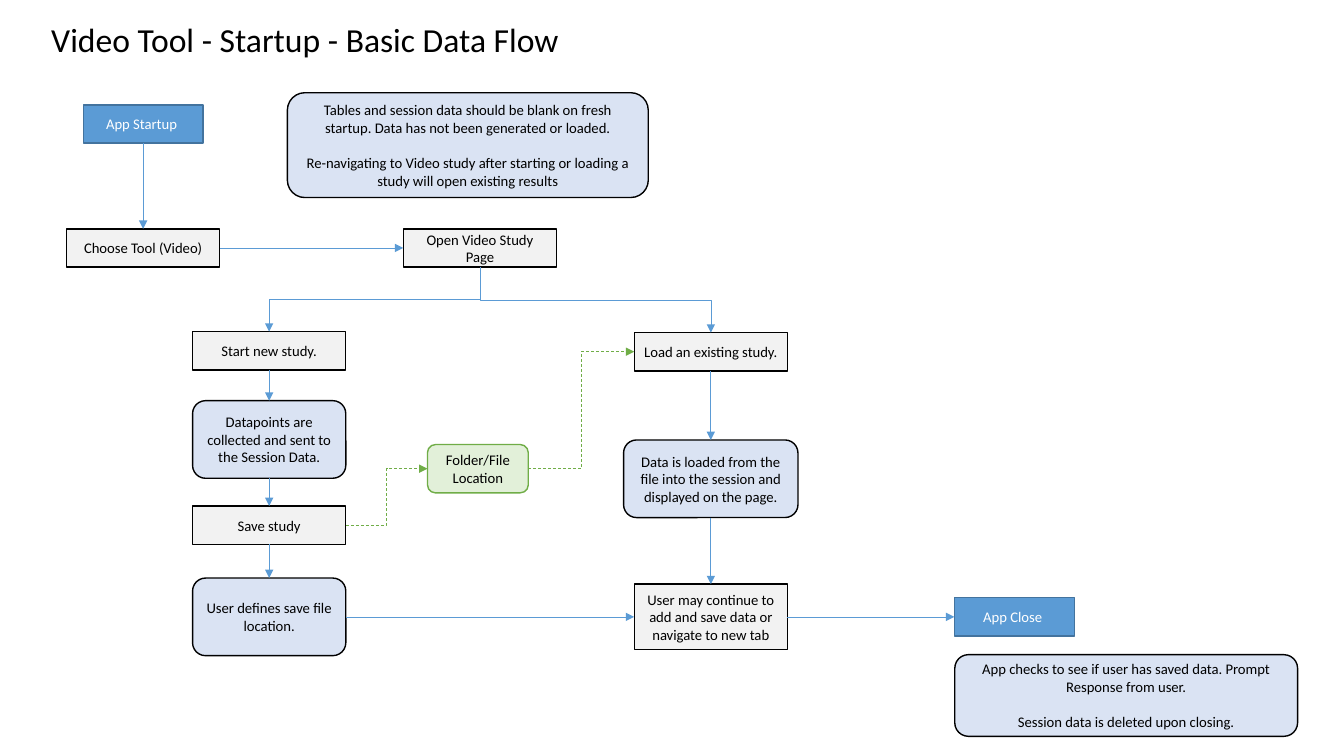
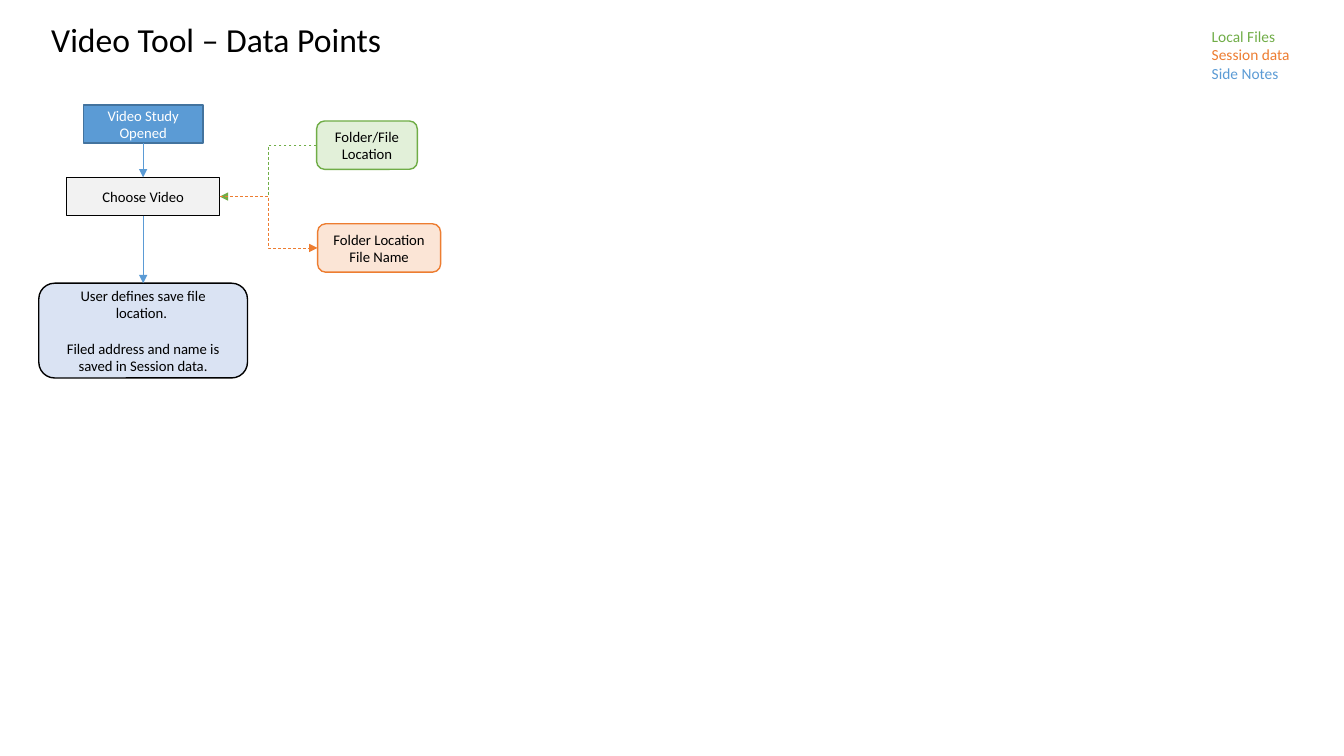
import pptx
import pptx.dml.color
import pptx.enum.dml
import pptx.enum.shapes
import pptx.enum.text
import pptx.oxml.ns
import pptx.util
from lxml import etree

Inches = pptx.util.Inches
Pt = pptx.util.Pt
RGBColor = pptx.dml.color.RGBColor
KIND = pptx.enum.shapes.MSO_SHAPE
LINK = pptx.enum.shapes.MSO_CONNECTOR
qn = pptx.oxml.ns.qn

FONT = "Calibri"
BLACK = RGBColor(0x00, 0x00, 0x00)
WHITE = RGBColor(0xFF, 0xFF, 0xFF)
BLUE = RGBColor(0x5B, 0x9B, 0xD5)
NAVY = RGBColor(0x43, 0x73, 0x9E)
GRAY = RGBColor(0xF2, 0xF2, 0xF2)
PALE = RGBColor(0xDA, 0xE3, 0xF3)
GREEN = RGBColor(0x70, 0xAD, 0x47)
MINT = RGBColor(0xE2, 0xF0, 0xD9)
ORANGE = RGBColor(0xED, 0x7D, 0x31)
PEACH = RGBColor(0xFB, 0xE5, 0xD6)

STYLES = {
    "end": (KIND.RECTANGLE, BLUE, NAVY, WHITE, (1.19, 0.38), 0),
    "step": (KIND.RECTANGLE, GRAY, BLACK, BLACK, (1.52, 0.38), 0),
    "note": (KIND.ROUNDED_RECTANGLE, PALE, BLACK, BLACK, (1.52, 0.77), 12.8),
    "file": (KIND.ROUNDED_RECTANGLE, MINT, GREEN, BLACK, (1, 0.48), 0),
    "data": (KIND.ROUNDED_RECTANGLE, PEACH, ORANGE, BLACK, (1.22, 0.48), 0),
}
TOP, LEFT, BOTTOM, RIGHT = range(4)
TITLE = (0.41, 0.14, 11.74, 0.5)
LEGEND = (11.92, 0.22, 1.17, 0.66)
FLOW = (0.42, 0.23)


def write(frame, lines, size, align=None, gap=0):
    """Fill a text frame with (text, colour) lines, one paragraph each."""
    frame.word_wrap = True
    for i, (text, ink) in enumerate(lines):
        para = frame.paragraphs[0] if i == 0 else frame.add_paragraph()
        para.alignment = align
        if i and gap:
            para.space_before = Pt(gap)
        run = para.add_run()
        run.text = text
        run.font.name = FONT
        run.font.size = Pt(size)
        run.font.color.rgb = ink


def label(slide, box, lines, size):
    """Put plain text in the given box."""
    area = slide.shapes.add_textbox(*map(Inches, box))
    write(area.text_frame, lines, size)


def node(slide, root, style, x, y, texts, size=None):
    """Draw a styled flow box centred at an offset from the root."""
    kind, fill, edge, ink, usual, gap = STYLES[style]
    wide, high = size or usual
    left, top = root[0] + x - wide / 2, root[1] + y - high / 2
    shape = slide.shapes.add_shape(kind, *map(Inches, (left, top, wide, high)))
    shape.shadow.inherit = False
    shape.fill.solid()
    shape.fill.fore_color.rgb = fill
    shape.line.color.rgb = edge
    shape.line.width = Pt(1)
    frame = shape.text_frame
    frame.vertical_anchor = pptx.enum.text.MSO_ANCHOR.MIDDLE
    write(frame, [(text, ink) for text in texts], 10.5,
          pptx.enum.text.PP_ALIGN.CENTER, gap)
    return shape


def turn(link):
    """Make an elbow leave and arrive vertically."""
    wide, high = link.width, link.height
    right = link.end_x > link.begin_x
    mid = link.left + wide // 2, link.top + high // 2
    link.left, link.top = mid[0] - high // 2, mid[1] - wide // 2
    link.width, link.height = high, wide
    frame = link.element.spPr.find(qn("a:xfrm"))
    frame.set("rot", str((270 if right else 90) * 60000))
    frame.set("flipH", "1" if right else "0")
    frame.set("flipV", "0")


def join(slide, start, out, end, into, tint=BLUE, bent=False):
    """Connect two boxes with an arrow, dashed unless blue."""
    kind = LINK.ELBOW if bent else LINK.STRAIGHT
    link = slide.shapes.add_connector(kind, 0, 0, 0, 0)
    link.begin_connect(start, out)
    link.end_connect(end, into)
    if bent and out == BOTTOM:
        turn(link)
    link.line.color.rgb = tint
    link.line.width = Pt(0.5)
    if tint != BLUE:
        link.line.dash_style = pptx.enum.dml.MSO_LINE.DASH
    props = link.element.spPr
    etree.SubElement(props.find(qn("a:ln")), qn("a:tailEnd"), type="triangle")
    etree.SubElement(props, qn("a:effectLst"))


def flow(slide, root, nodes, links):
    """Draw named boxes and the arrows between them."""
    made = {name: node(slide, root, *spec) for name, *spec in nodes}
    for start, out, end, into, *look in links:
        join(slide, made[start], out, made[end], into, *look)


def page(deck, title):
    """Add a blank slide with its title."""
    slide = deck.slides.add_slide(deck.slide_layouts[6])
    label(slide, TITLE, [(title, BLACK)], 24)
    return slide


def startup(deck):
    """Build the startup flow slide."""
    slide = page(deck, "Video Tool - Startup - Basic Data Flow")
    study, load, row = 2.25, 6.63, 5.89
    nodes = [
        ("open", "end", 1, 1, ["App Startup "]),
        ("tool", "step", 1, 2.23, ["Choose Tool (Video)"]),
        ("page", "step", 4.34, 2.23, ["Open Video Study Page"]),
        ("blank", "note", 4.22, 1.21, [
            "Tables and session data should be blank on fresh startup. "
            "Data has not been generated or loaded.",
            "Re-navigating to Video study after starting or loading a "
            "study will open existing results"], (3.58, 1.04)),
        ("new", "step", study, 3.25, ["Start new study."]),
        ("points", "note", study, 4.13,
         ["Datapoints are collected and sent to the Session Data."]),
        ("save", "step", study, 4.98, ["Save study"]),
        ("place", "note", study, row, ["User defines save file location."]),
        ("load", "step", load, 3.26, ["Load an existing study."]),
        ("file", "file", 4.32, 4.42, ["Folder/File Location"]),
        ("shown", "note", load, 4.52,
         ["Data is loaded from the file into the session and displayed "
          "on the page."], (1.73, 0.77)),
        ("more", "step", load, row,
         ["User may continue to add and save data or navigate to new tab"],
         (1.52, 0.65)),
        ("close", "end", 9.64, row, ["App Close "]),
        ("check", "note", 10.75, 6.67, [
            "App checks to see if user has saved data. "
            "Prompt Response from user.",
            "Session data is deleted upon closing."], (3.4, 0.81)),
    ]
    downs = [("open", "tool"), ("new", "points"), ("points", "save"),
             ("save", "place"), ("load", "shown"), ("shown", "more")]
    across = [("tool", "page"), ("place", "more"), ("more", "close")]
    links = [(a, BOTTOM, b, TOP) for a, b in downs]
    links += [(a, RIGHT, b, LEFT) for a, b in across]
    links += [("page", BOTTOM, b, TOP, BLUE, True) for b in ("new", "load")]
    links += [(a, RIGHT, b, LEFT, GREEN, True)
              for a, b in (("save", "file"), ("file", "load"))]
    flow(slide, FLOW, nodes, links)


def points(deck):
    """Build the data points slide."""
    slide = page(deck, "Video Tool – Data Points")
    nodes = [
        ("open", "end", 1, 1, ["Video Study Opened"]),
        ("video", "step", 1, 1.72, ["Choose Video"]),
        ("place", "note", 1, 3.05, [
            "User defines save file location. ",
            "Filed address and name is saved in Session data."],
         (2.07, 0.94)),
        ("file", "file", 3.22, 1.21, ["Folder/File Location"]),
        ("data", "data", 3.34, 2.23, ["Folder Location", "File Name"]),
    ]
    links = [
        ("open", BOTTOM, "video", TOP),
        ("video", BOTTOM, "place", TOP),
        ("file", LEFT, "video", RIGHT, GREEN, True),
        ("video", RIGHT, "data", LEFT, ORANGE, True),
    ]
    flow(slide, FLOW, nodes, links)
    label(slide, LEGEND, [("Local Files", GREEN), ("Session data", ORANGE),
                          ("Side Notes", BLUE)], 11)


def main():
    """Build and save the deck."""
    deck = pptx.Presentation()
    deck.slide_width, deck.slide_height = Inches(13.33), Inches(7.5)
    startup(deck)
    points(deck)
    deck.save("out.pptx")


if __name__ == "__main__":
    main()
